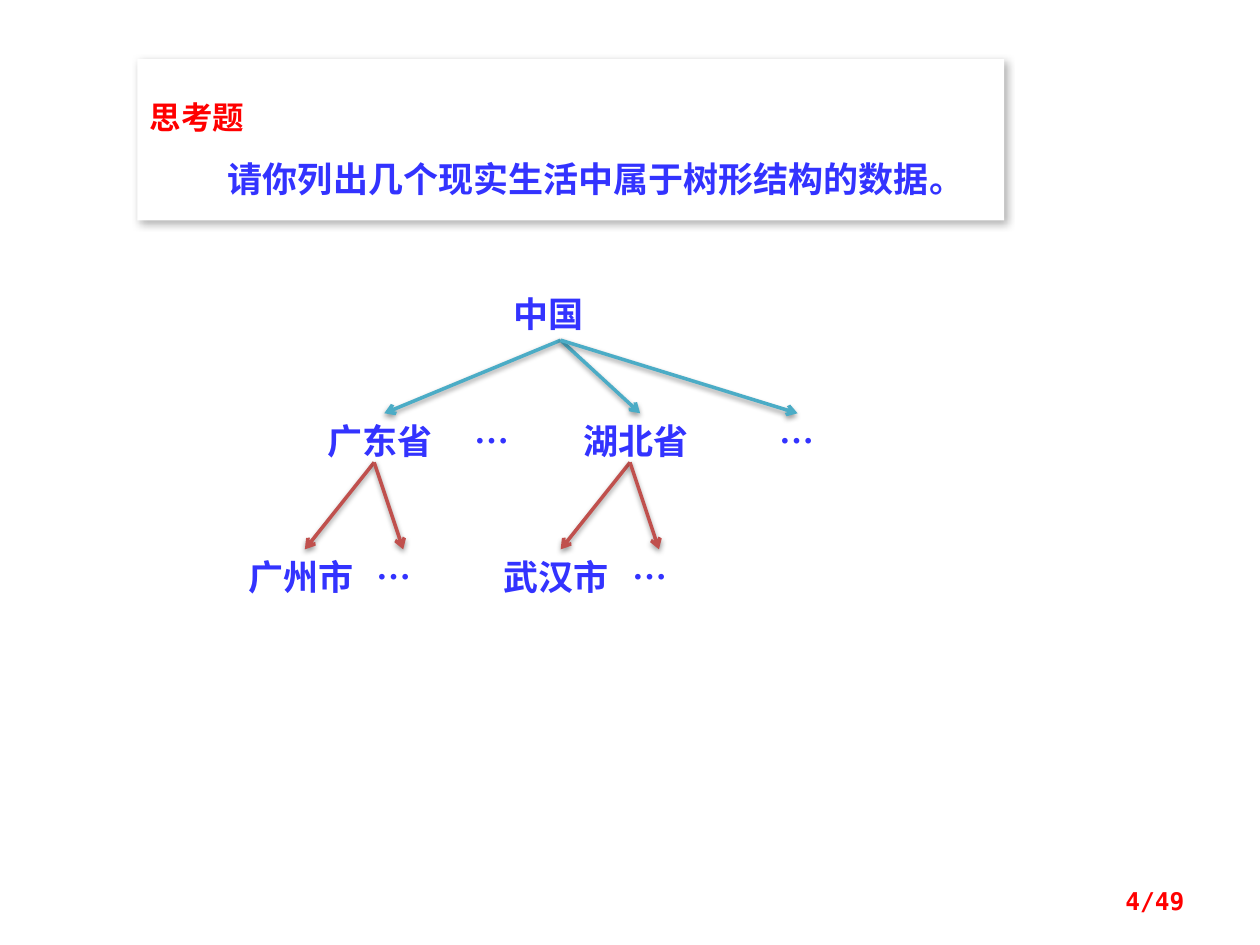
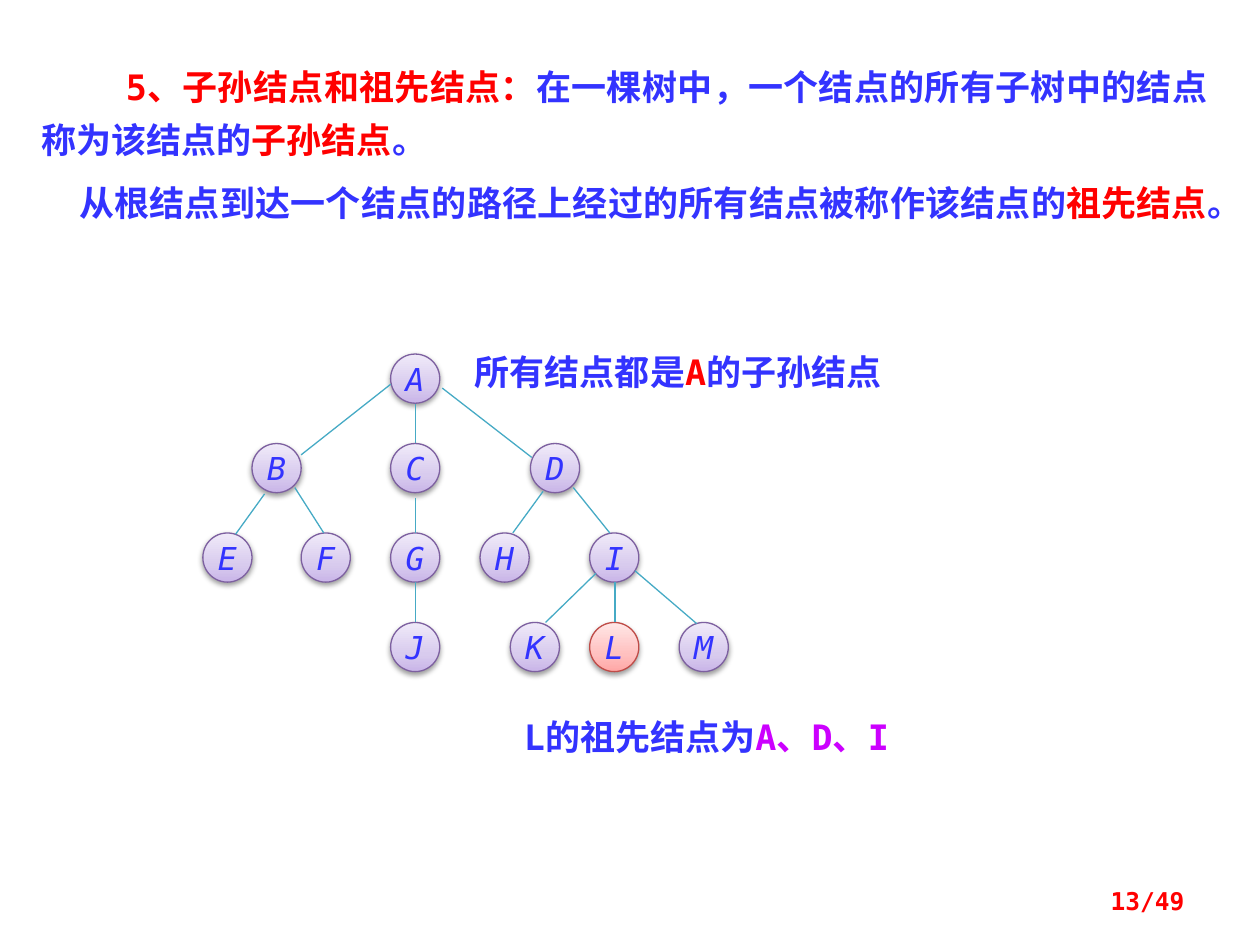
from copy import deepcopy

from lxml.etree import SubElement
from pptx import Presentation
from pptx.dml.color import RGBColor
from pptx.enum.shapes import MSO_CONNECTOR as Connector, MSO_SHAPE as Shape
from pptx.enum.text import MSO_ANCHOR as Anchor, PP_ALIGN as Align
from pptx.oxml.ns import qn
from pptx.util import Inches, Pt

RED = RGBColor(0xFF, 0x00, 0x00)
BLUE = RGBColor(0x33, 0x33, 0xFF)
MAGENTA = RGBColor(0xCC, 0x00, 0xFF)
WHITE = RGBColor(0xFF, 0xFF, 0xFF)
TEAL = RGBColor(0x4B, 0xAC, 0xC6)
BRICK = RGBColor(0xC0, 0x50, 0x4D)
EDGE_TEAL = RGBColor(0x46, 0xAA, 0xC5)
PURPLE_LINE = RGBColor(0x7D, 0x60, 0xA0)
RED_LINE = RGBColor(0xBF, 0x4C, 0x48)
PURPLE_STOPS = (RGBColor(0xC9, 0xB5, 0xE8), RGBColor(0xD8, 0xCB, 0xEE), RGBColor(0xF0, 0xEA, 0xF9))
RED_STOPS = (RGBColor(0xFF, 0xA6, 0xA5), RGBColor(0xFF, 0xC0, 0xBF), RGBColor(0xFF, 0xE7, 0xE7))
STOP_POSITIONS = (0, 0.35, 1)

MONO = "DejaVu Sans Mono"
SANS = "Noto Sans CJK SC"
PAGE_TOTAL = 49
NODE_SIZE = 0.39
SOFT_SHADOW = (38, 3.1, 1.6, 90)
CARD_SHADOW = (30, 4.5, 2.6, 53)


def write(para, spans, size=20, font=MONO, bold=True, italic=False, indent=0):
    properties = para._p.get_or_add_pPr()
    if indent:
        properties.set("indent", str(Inches(indent)))
    para.font.name = font
    para.font.size = Pt(size)
    para.font.bold = bold
    para.font.italic = italic
    SubElement(properties.find(qn("a:defRPr")), qn("a:ea"), typeface=SANS)
    for text, color in spans:
        span = para.add_run()
        span.text = text
        span.font.color.rgb = color


def add_text(page, left, top, width, height, spans, **style):
    box = page.shapes.add_textbox(Inches(left), Inches(top), Inches(width), Inches(height))
    box.text_frame.word_wrap = True
    write(box.text_frame.paragraphs[0], spans, **style)
    return box


def add_label(page, text, left, top, width):
    add_text(page, left, top, width, 0.44, [(text, BLUE)], font=SANS)


def add_footer(page, number):
    box = add_text(page, 7.17, 6.95, 2.33, 0.4, [(f"{number}/{PAGE_TOTAL}", RED)], size=14)
    box.text_frame.vertical_anchor = Anchor.MIDDLE
    box.text_frame.paragraphs[0].alignment = Align.RIGHT


def add_shadow(effects, opacity, blur, distance, angle):
    shadow = SubElement(effects, qn("a:outerShdw"), blurRad=str(Pt(blur)), dist=str(Pt(distance)),
                        dir=str(angle * 60000), algn="ctr", rotWithShape="0")
    color = SubElement(shadow, qn("a:srgbClr"), val="000000")
    SubElement(color, qn("a:alpha"), val=str(opacity * 1000))


def shade(shape, shadow):
    shape.shadow.inherit = False
    add_shadow(shape._element.spPr.find(qn("a:effectLst")), *shadow)


def add_line(page, start, end, color, width, arrow=False):
    line = page.shapes.add_connector(Connector.STRAIGHT, *map(Inches, start + end))
    line.line.color.rgb = color
    line.line.width = Pt(width)
    properties = line._element.spPr
    effects = SubElement(properties, qn("a:effectLst"))
    if arrow:
        SubElement(properties.find(qn("a:ln")), qn("a:tailEnd"), type="arrow")
        add_shadow(effects, *SOFT_SHADOW)


def add_arrows(page, start, ends, color):
    for end in ends:
        add_line(page, start, end, color, 2, arrow=True)


def add_question_card(page):
    card = page.shapes.add_shape(Shape.RECTANGLE, Inches(1.09), Inches(0.47), Inches(6.88), Inches(1.28))
    card.fill.solid()
    card.fill.fore_color.rgb = WHITE
    card.line.fill.background()
    shade(card, CARD_SHADOW)
    frame = card.text_frame
    frame.word_wrap = True
    frame.vertical_anchor = Anchor.TOP
    frame.margin_top = frame.margin_bottom = Inches(0.16)
    heading, question = frame.paragraphs[0], frame.add_paragraph()
    for para in (heading, question):
        para.alignment = Align.LEFT
        para.line_spacing = 1.5
    write(heading, [("思考题", RED)], size=18, font=SANS)
    write(question, [("请你列出几个现实生活中属于树形结构的数据。", BLUE)], indent=0.62)


def add_province(page, left, province, city):
    add_label(page, province, left, 3.28, 1.09)
    add_label(page, city, left - 0.63, 4.36, 1.09)
    add_label(page, "…", left + 0.39, 4.36, 0.63)
    add_arrows(page, (left + 0.47, 3.67), [(left - 0.08, 4.36), (left + 0.7, 4.36)], BRICK)


def add_node(page, name, left, level):
    stops, outline = (RED_STOPS, RED_LINE) if name == "L" else (PURPLE_STOPS, PURPLE_LINE)
    node = page.shapes.add_shape(Shape.OVAL, Inches(left), Inches(2.81 + 0.71 * level),
                                 Inches(NODE_SIZE), Inches(NODE_SIZE))
    node.fill.gradient()
    node.fill.gradient_angle = 90
    stop_list = node._element.spPr.find(".//" + qn("a:gsLst"))
    stop_list.append(deepcopy(stop_list[0]))
    for stop, position, color in zip(node.fill.gradient_stops, STOP_POSITIONS, stops):
        stop.position = position
        stop.color.rgb = color
    node.line.color.rgb = outline
    node.line.width = Pt(0.75)
    shade(node, SOFT_SHADOW)
    frame = node.text_frame
    frame.word_wrap = False
    frame.vertical_anchor = Anchor.MIDDLE
    frame.paragraphs[0].alignment = Align.CENTER
    write(frame.paragraphs[0], [(name, BLUE)], size=18, bold=False, italic=True)


def add_definitions(page):
    box = add_text(page, 0.23, 0.39, 9.45, 1.83, [
        ("5、子孙结点和祖先结点：", RED),
        ("在一棵树中，一个结点的所有子树中的结点称为该结点的", BLUE),
        ("子孙结点", RED),
        ("。", BLUE),
    ], indent=0.67)
    ancestors = box.text_frame.add_paragraph()
    ancestors.space_before = Pt(6)
    write(ancestors, [
        ("从根结点到达一个结点的路径上经过的所有结点被称作该结点的", BLUE),
        ("祖先结点", RED),
        ("。", BLUE),
    ], indent=0.3)
    for para in box.text_frame.paragraphs:
        para.alignment = Align.JUSTIFY
        para.line_spacing = Pt(30)


def build_question_page(page):
    add_question_card(page)
    add_label(page, "中国", 3.98, 2.27, 0.94)
    add_province(page, 2.5, "广东省", "广州市")
    add_province(page, 4.53, "湖北省", "武汉市")
    add_label(page, "…", 3.67, 3.28, 0.86)
    add_label(page, "…", 6.09, 3.28, 0.47)
    add_arrows(page, (4.45, 2.7), [(3.05, 3.28), (5.08, 3.28), (6.33, 3.28)], TEAL)
    add_footer(page, 4)


def build_ancestor_page(page):
    add_definitions(page)
    add_text(page, 3.67, 2.73, 3.67, 0.44,
             [("所有结点都是", BLUE), ("A", RED), ("的子孙结点", BLUE)])
    add_text(page, 4.06, 5.63, 3.67, 0.44, [("L的祖先结点为", BLUE), ("A、D、I", MAGENTA)])
    levels = [
        {"A": 3.1},
        {"B": 2, "C": 3.1, "D": 4.21},
        {"E": 1.61, "F": 2.39, "G": 3.1, "H": 3.81, "I": 4.68},
        {"J": 3.1, "K": 4.05, "L": 4.68, "M": 5.39},
    ]
    for level, nodes in enumerate(levels):
        for name, left in nodes.items():
            add_node(page, name, left, level)
    edges = [
        ((3.1, 3.05), (2.39, 3.61)), ((3.3, 3.21), (3.3, 3.52)), ((3.51, 3.08), (4.22, 3.63)),
        ((2.1, 3.92), (1.87, 4.24)), ((2.34, 3.87), (2.57, 4.23)), ((3.3, 3.95), (3.3, 4.23)),
        ((4.31, 3.9), (4.07, 4.23)), ((4.55, 3.87), (4.84, 4.23)), ((3.3, 4.62), (3.3, 4.94)),
        ((4.73, 4.55), (4.33, 4.94)), ((4.88, 4.62), (4.88, 4.94)), ((5.04, 4.53), (5.53, 4.95)),
    ]
    for start, end in edges:
        add_line(page, start, end, EDGE_TEAL, 0.75)
    add_footer(page, 13)


def main():
    deck = Presentation()
    deck.slide_width, deck.slide_height = Inches(10), Inches(7.5)
    for build in (build_question_page, build_ancestor_page):
        build(deck.slides.add_slide(deck.slide_layouts[6]))
    deck.save("out.pptx")


if __name__ == "__main__":
    main()
